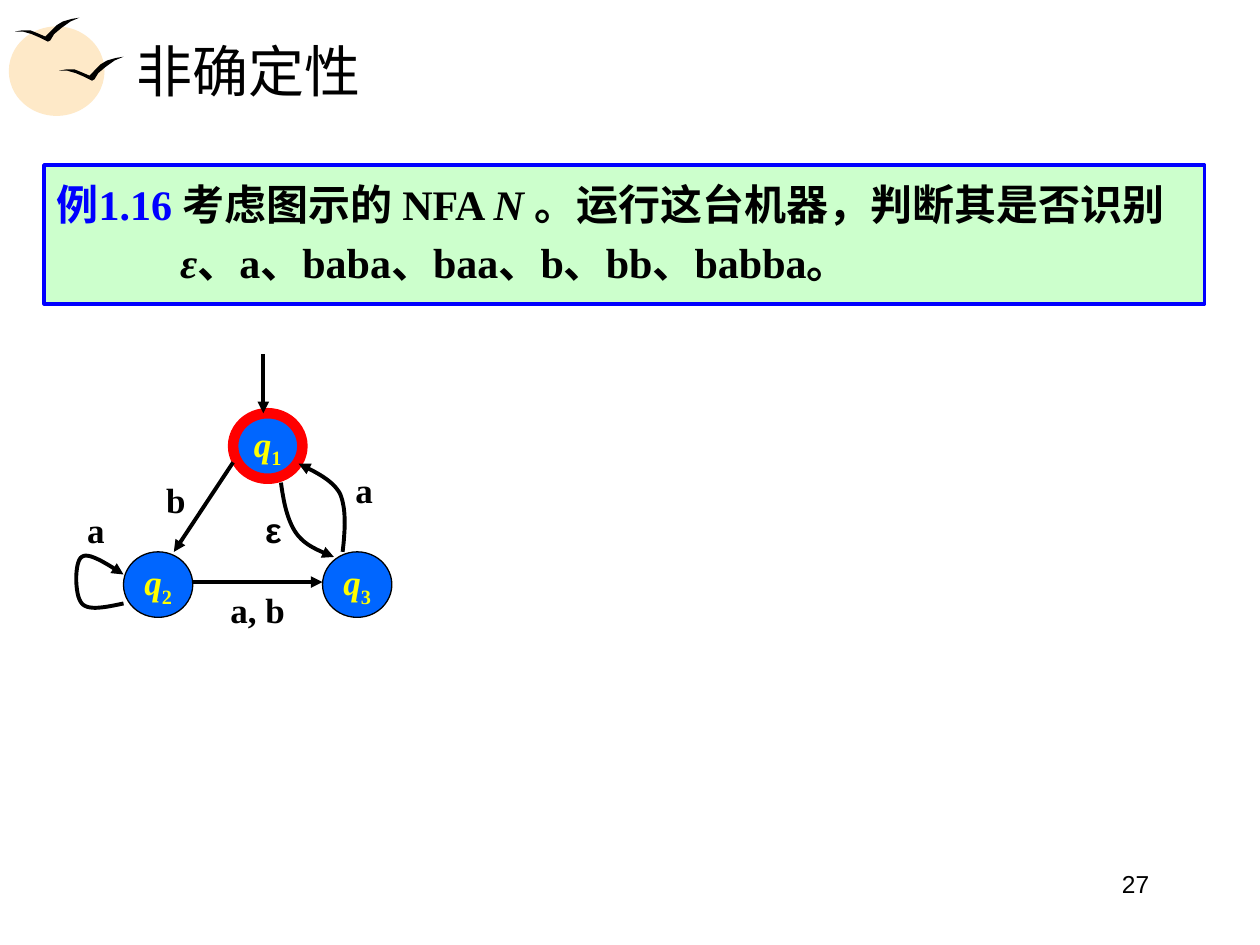
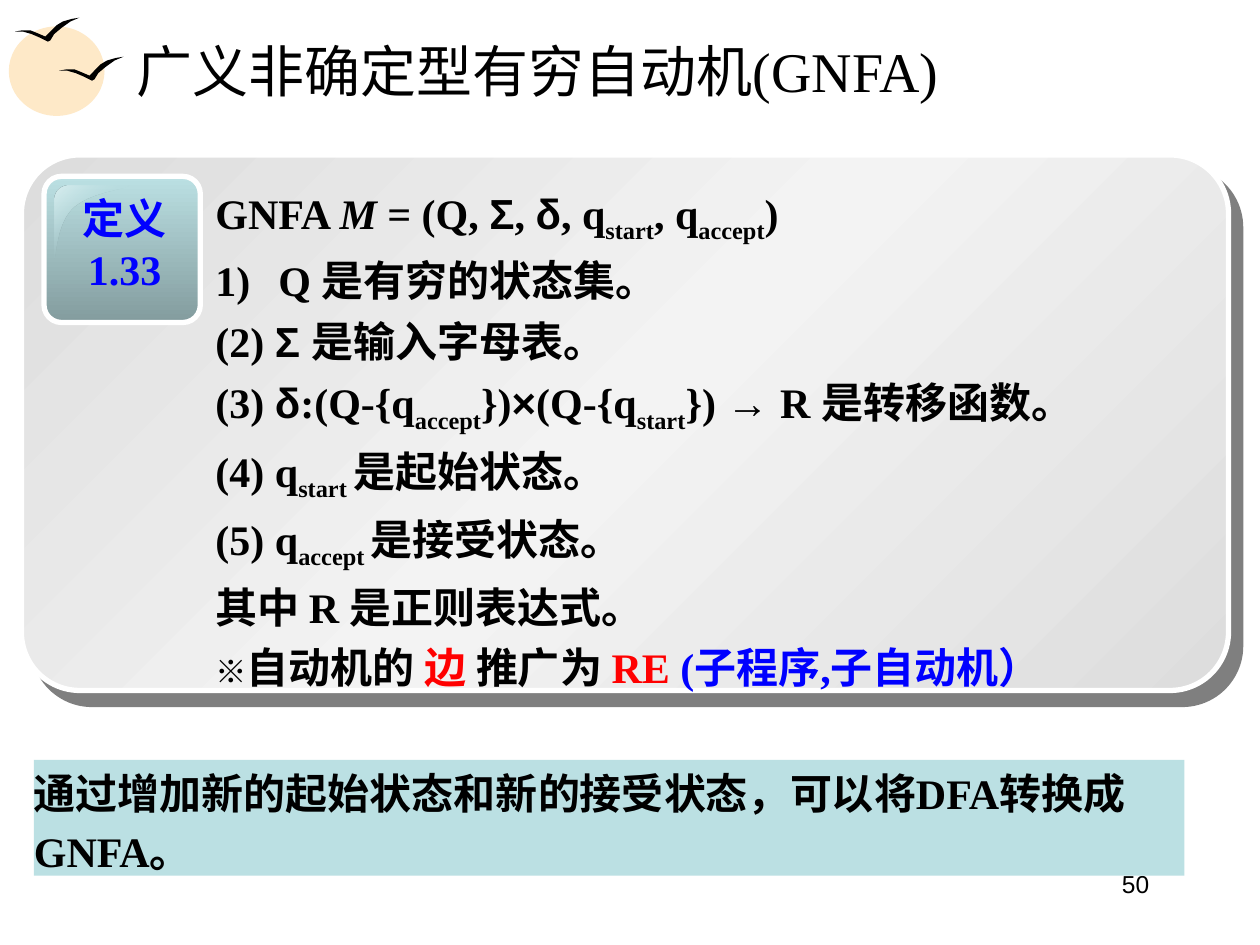
from lxml import etree
from pptx import Presentation
from pptx.dml.color import RGBColor
from pptx.enum.shapes import MSO_CONNECTOR as Link, MSO_SHAPE as Kind
from pptx.enum.text import MSO_ANCHOR as Anchor, MSO_AUTO_SIZE as Fit, PP_ALIGN as Align
from pptx.oxml.ns import qn
from pptx.util import Inches, Pt

BLACK = RGBColor(0x00, 0x00, 0x00)
WHITE = RGBColor(0xFF, 0xFF, 0xFF)
BLUE = RGBColor(0x00, 0x00, 0xFF)
RED = RGBColor(0xFF, 0x00, 0x00)
YELLOW = RGBColor(0xFF, 0xFF, 0x00)
SUN = RGBColor(0xFE, 0xE9, 0xC8)
MINT = RGBColor(0xCC, 0xFF, 0xCC)
AZURE = RGBColor(0x00, 0x66, 0xFF)
GREY = RGBColor(0xDD, 0xDD, 0xDD)
PALE = RGBColor(0xF3, 0xF3, 0xF3)
TEAL = RGBColor(0xBB, 0xE0, 0xE3)
SLATE = RGBColor(0x83, 0x9C, 0x9E)
GLOSS = RGBColor(0xDA, 0xEE, 0xF0)

ROMAN, SANS = "Times New Roman", "Arial"
SUB, ITALIC, SYMBOL = {"sub": True}, {"italic": True}, {"font": SANS}
WING = [(0, .11), (.06, .1), (.12, .1), (.17, .12), (.24, .15), (.28, .11),
        (.33, .06), (.38, .03), (.45, .01), (.51, 0), (.44, .03), (.37, .08),
        (.31, .13), (.28, .18), (.26, .19), (.2, .16), (.13, .13), (.06, .11)]


# Text
def add_run(para, text, size=24, color=BLACK, font=ROMAN, bold=True, italic=False, sub=False):
    run = para.add_run()
    run.text = text
    face = run.font
    face.size, face.name, face.bold, face.italic = Pt(size), font, bold, italic
    face.color.rgb = color
    if sub:
        run._r.get_or_add_rPr().set("baseline", "-25000")


def write(shape, *paras, align=Align.LEFT, anchor=Anchor.TOP, wrap=True, inset=(.1, .05),
          hang=0, lead=1, gap=0, auto=(), **style):
    """Each paragraph is a string or a list of strings and (string, style) pairs."""
    frame = shape.text_frame
    frame.auto_size, frame.word_wrap = Fit.NONE, wrap
    frame.vertical_anchor = anchor
    frame.margin_left = frame.margin_right = Inches(inset[0])
    frame.margin_top = frame.margin_bottom = Inches(inset[1])
    for n, runs in enumerate(paras):
        para = frame.add_paragraph() if n else frame.paragraphs[0]
        para.alignment, para.line_spacing = align, lead
        para.space_before, para.space_after = Pt(gap if n else 0), Pt(0)
        props = para._p.get_or_add_pPr()
        props.set("marL", str(Inches(hang)))
        props.set("indent", str(-Inches(hang)))
        if n in auto:
            etree.SubElement(props, qn("a:buFont")).set("typeface", ROMAN)
            etree.SubElement(props, qn("a:buAutoNum")).set("type", "arabicParenR")
        else:
            etree.SubElement(props, qn("a:buNone"))
        for part in [runs] if isinstance(runs, str) else runs:
            text, extra = (part, {}) if isinstance(part, str) else part
            add_run(para, text, **{**style, **extra})


# Shapes
def place(shape, box):
    shape.left, shape.top, shape.width, shape.height = map(Inches, box)


def paint(shape, fill=None, line=None, width=1):
    shape.shadow.inherit = False
    if fill is None:
        shape.fill.background()
    else:
        shape.fill.solid()
        shape.fill.fore_color.rgb = fill
    if line is None:
        shape.line.fill.background()
    else:
        shape.line.color.rgb, shape.line.width = line, Pt(width)


def add_form(slide, kind, box, fill=None, line=None, width=1):
    shape = slide.shapes.add_shape(kind, *map(Inches, box))
    paint(shape, fill, line, width)
    return shape


def add_label(slide, box, text, **style):
    write(slide.shapes.add_textbox(*map(Inches, box)), text, **style)


def blend(shape, angle, *stops):
    """Fill with a gradient of (position, colour, opacity) stops, angle clockwise."""
    shape.fill.gradient()
    shape.fill.gradient_angle = -angle % 360
    stop_list = shape._element.spPr.find(qn("a:gradFill")).find(qn("a:gsLst"))
    for old in list(stop_list):
        stop_list.remove(old)
    for pos, color, alpha in stops:
        stop = etree.SubElement(stop_list, qn("a:gs"), pos=str(pos * 1000))
        tone = etree.SubElement(stop, qn("a:srgbClr"), val=str(color))
        if alpha < 100:
            etree.SubElement(tone, qn("a:alpha"), val=str(alpha * 1000))


def drop_shadow(shape, dist, angle, alpha):
    effects = shape._element.spPr.find(qn("a:effectLst"))
    outer = etree.SubElement(effects, qn("a:outerShdw"), dist=str(Pt(dist)),
                             dir=str(angle * 60000), algn="ctr", rotWithShape="0")
    tone = etree.SubElement(outer, qn("a:srgbClr"), val=str(BLACK))
    etree.SubElement(tone, qn("a:alpha"), val=str(alpha * 1000))


def add_head(shape):
    etree.SubElement(shape.line._get_or_add_ln(), qn("a:tailEnd"), type="triangle")


def trace(start, steps, count=16):
    """Points along lines (x, y) and cubic curves (x1, y1, x2, y2, x, y)."""
    points = [start]
    for step in steps:
        if len(step) == 2:
            points.append(step)
            continue
        ends = [points[-1], step[:2], step[2:4], step[4:]]
        for n in range(1, count + 1):
            t = n / count
            parts = ((1 - t) ** 3, 3 * t * (1 - t) ** 2, 3 * t * t * (1 - t), t ** 3)
            points.append(tuple(sum(w * p[k] for w, p in zip(parts, ends)) for k in (0, 1)))
    return points


def add_path(slide, left, top, points, close=True):
    spots = [(Inches(left + x), Inches(top + y)) for x, y in points]
    form = slide.shapes.build_freeform(*spots[0])
    form.add_line_segments(spots[1:], close=close)
    return form.convert_to_shape()


def add_arrow(slide, left, top, x1, y1, x2, y2):
    arrow = slide.shapes.add_connector(
        Link.STRAIGHT, *map(Inches, (left + x1, top + y1, left + x2, top + y2)))
    arrow.line.color.rgb, arrow.line.width = BLACK, Pt(2.25)
    etree.SubElement(arrow._element.spPr, qn("a:effectLst"))
    add_head(arrow)


# Parts shared by the slides
def add_emblem(slide, left, top):
    add_form(slide, Kind.OVAL, (left, top + .07, .76, .71), SUN)
    for x, y in ((.4, .31), (.05, 0)):
        paint(add_path(slide, left + x, top + y, WING), BLACK)


def start_slide(deck, title, number):
    slide = deck.slides.add_slide(deck.slide_layouts[1])
    add_emblem(slide, .07, .14)
    place(slide.shapes.title, (.98, .21, 8.53, .69))
    write(slide.shapes.title, title, size=32, bold=False, anchor=Anchor.MIDDLE)
    add_label(slide, (6.89, 6.85, 2.33, .52), number, size=14, font=SANS,
              bold=False, align=Align.RIGHT)
    return slide


# Slide 27: example and state diagram
def add_example(slide, box):
    body = slide.placeholders[1]
    place(body, box)
    body.fill.solid()
    body.fill.fore_color.rgb = MINT
    body.line.color.rgb, body.line.width = BLUE, Pt(2.25)
    write(body, [("例1.16 ", {"color": BLUE}), "考虑图示的 NFA ", ("N ", ITALIC),
                 "。运行这台机器，判断其是否识别", ("ε", ITALIC),
                 "、a、baba、baa、b、bb、babba。"], hang=.98, lead=1.15)


def add_diagram(slide, left, top):
    # States
    for name, x, y, line, width in (("1", 1.3, .47, RED, 6), ("2", .43, 1.57, BLACK, .75),
                                    ("3", 2.01, 1.57, BLACK, .75)):
        state = add_form(slide, Kind.OVAL, (left + x, top + y, .55, .52), AZURE, line, width)
        write(state, [("q", ITALIC), (name, SUB)], size=20, color=YELLOW,
              align=Align.CENTER, anchor=Anchor.MIDDLE, wrap=False)
    # Straight moves
    for ends in ((1.54, 0, 1.54, .47), (1.3, .86, .83, 1.57), (.98, 1.81, 2.01, 1.81)):
        add_arrow(slide, left, top, *ends)
    # Curved moves
    for start, *steps in (
            ((.43, 1.98), (.29, 2.01, .15, 2.04, .1, 1.98), (.04, 1.92, .04, 1.64, .1, 1.61),
             (.15, 1.57, .29, 1.66, .43, 1.75)),
            ((1.68, 1.02), (1.7, 1.17, 1.73, 1.32, 1.8, 1.42), (1.87, 1.52, 1.98, 1.56, 2.1, 1.61)),
            ((2.17, 1.57), (2.19, 1.4, 2.2, 1.23, 2.15, 1.11), (2.09, 1, 1.96, .94, 1.82, .87))):
        move = add_path(slide, left, top, trace(start, steps), close=False)
        paint(move, line=BLACK, width=2.25)
        add_head(move)
    # Input symbols
    for text, x, y, width, font in (("a", .04, 1.18, .34, ROMAN), ("b", .67, .94, .35, ROMAN),
                                    ("a, b", 1.18, 1.81, .63, ROMAN),
                                    ("a", 2.17, .86, .34, ROMAN), ("ε", 1.46, 1.18, .32, SANS)):
        add_label(slide, (left + x, top + y, width, .44), text, size=20, font=font,
                  align=Align.CENTER, wrap=False)


# Slide 50: definition panel and remark
def add_badge(slide, left, top):
    badge = add_form(slide, Kind.ROUNDED_RECTANGLE, (left, top, 1.24, 1.16), TEAL, WHITE, 3)
    badge.adjustments[0] = .119
    blend(badge, 90, (0, TEAL, 100), (100, SLATE, 100))
    shine = add_path(slide, left + .08, top + .07, trace(
        (.12, 0), [(.05, 0, 0, .05, 0, .12), (0, .58), (.02, .58, .01, .3, .16, .17),
                   (.32, .04, .61, .03, .6, 0)]))
    paint(shine)
    blend(shine, 45, (0, GLOSS, 100), (50, TEAL, 0), (100, GLOSS, 100))
    write(slide.shapes.add_textbox(*map(Inches, (left + .17, top + .08, .94, .9))),
          "定义", "1.33", color=BLUE, align=Align.CENTER)


def add_panel(slide, box):
    left, top = box[:2]
    panel = add_form(slide, Kind.ROUNDED_RECTANGLE, box, GREY, WHITE, 3)
    panel.adjustments[0] = .109
    blend(panel, 45, (0, GREY, 100), (50, PALE, 100), (100, GREY, 100))
    drop_shadow(panel, 10.6, 49, 50)
    add_badge(slide, left + .18, top + .17)
    # Definition list, raised above the panel
    body = slide.placeholders[1]
    slide.shapes._spTree.append(body._element)
    place(body, (left + 1.44, top + .16, 8, 4.16))
    first, last = ("start", SUB), ("accept", SUB)
    write(body,
          ["GNFA ", ("M ", ITALIC), "= (Q, ", ("Σ", SYMBOL), ", ", ("δ", SYMBOL),
           ", q", first, ", q", last, ")"],
          "Q 是有穷的状态集。",
          ["(2) ", ("Σ ", SYMBOL), "是输入字母表。"],
          ["(3) ", ("δ", SYMBOL), ":(Q-{q", last, "})", ("×", SYMBOL), "(Q-{q", first, "}) ",
           ("→ ", SYMBOL), "R 是转移函数。"],
          ["(4) q", ("start ", SUB), "是起始状态。"],
          ["(5) q", ("accept ", SUB), "是接受状态。"],
          "其中 R 是正则表达式。",
          [("※", {"size": 18, "font": SANS}), "自动机的 ", ("边 ", {"color": RED}), "推广为 ",
           ("RE", {"color": RED}), (" (子程序,子自动机）", {"color": BLUE})],
          hang=.5, lead=1.1, gap=3, auto=(1,))


def add_remark(slide, box):
    bar = add_form(slide, Kind.RECTANGLE, box, TEAL)
    write(bar, "通过增加新的起始状态和新的接受状态，可以将DFA转换成GNFA。",
          inset=(0, 0), lead=1.15)


def main():
    deck = Presentation()
    deck.slide_width, deck.slide_height = Inches(10), Inches(7.5)

    slide = start_slide(deck, "非确定性", "27")
    add_example(slide, (.35, 1.31, 9.21, 1.1))
    add_diagram(slide, .55, 2.81)

    slide = start_slide(deck, "广义非确定型有穷自动机(GNFA)", "50")
    add_panel(slide, (.17, 1.23, 9.58, 4.25))
    add_remark(slide, (.27, 6.03, 9.13, .92))

    deck.save("out.pptx")


if __name__ == "__main__":
    main()
